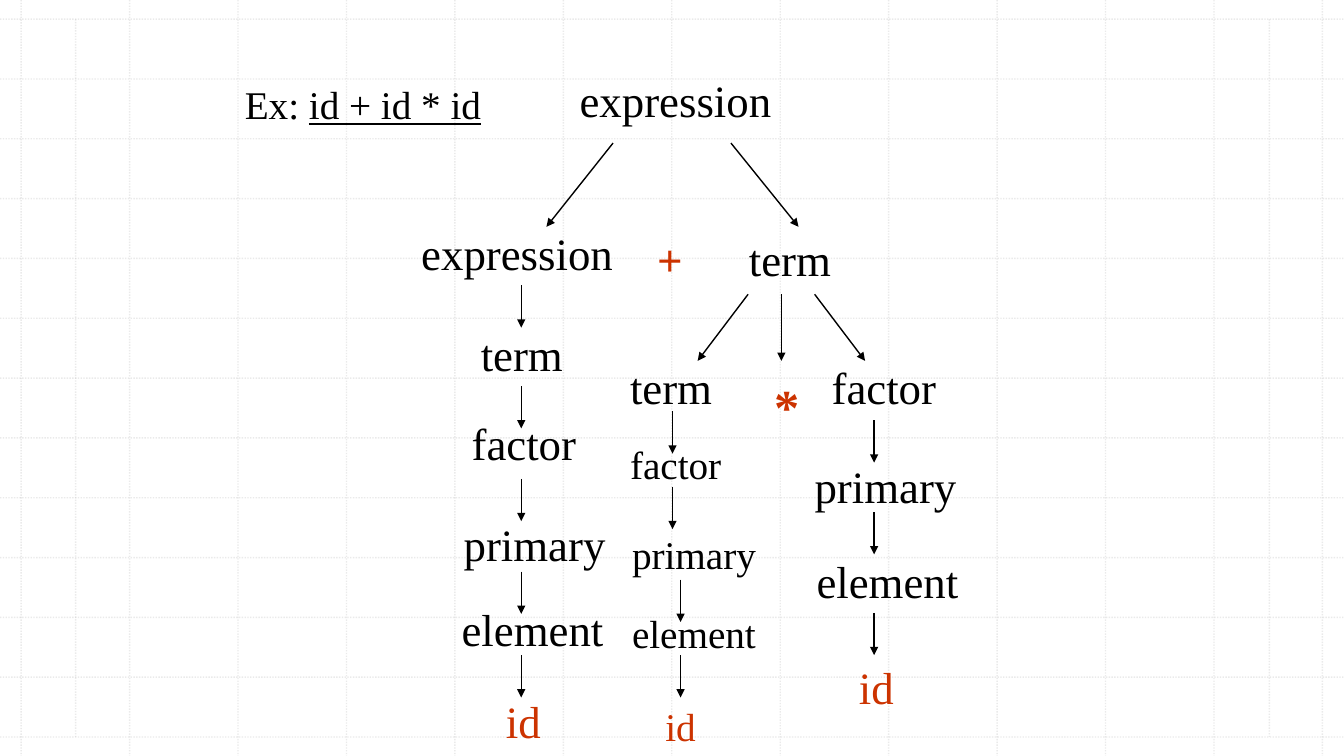
from lxml import etree
from pptx import Presentation
from pptx.dml.color import RGBColor
from pptx.enum.dml import MSO_LINE
from pptx.enum.shapes import MSO_CONNECTOR as CONN
from pptx.enum.text import MSO_AUTO_SIZE as AUTO
from pptx.oxml.ns import qn
from pptx.util import Inches, Pt

FONT = "Times New Roman"
BLACK, RED, GRAY = "000000", "CC3300", "BCBCBC"
ARROW = 0.42


def rgb(hex_color):
    """Turn a hex string into a colour."""
    return RGBColor.from_string(hex_color)


def add_line(slide, x1, y1, x2, y2, color=BLACK):
    """Add a plain one-point line and return it."""
    line = slide.shapes.add_connector(CONN.STRAIGHT, Inches(x1), Inches(y1), Inches(x2), Inches(y2))
    line.line.color.rgb = rgb(color)
    line.line.width = Pt(1)
    etree.SubElement(line._element.spPr, qn("a:effectLst"))
    return line


def add_grid_line(slide, x1, y1, x2, y2):
    """Add a dotted, mostly transparent grid line."""
    line = add_line(slide, x1, y1, x2, y2, GRAY)
    line.line.dash_style = MSO_LINE.ROUND_DOT
    color = line._element.spPr.find(".//" + qn("a:srgbClr"))
    etree.SubElement(color, qn("a:alpha"), val="30000")


def add_arrow(slide, x1, y1, x2, y2):
    """Add a line with a triangle head at its end."""
    line = add_line(slide, x1, y1, x2, y2)
    etree.SubElement(line.line._get_or_add_ln(), qn("a:tailEnd"), type="triangle")


def add_label(slide, text, x, y, w, size=32, color=BLACK, bold=False, wrap=True):
    """Add a one-line label and return its paragraph."""
    height = {28: 0.57, 32: 0.63, 36: 0.7}[size]
    tf = slide.shapes.add_textbox(Inches(x), Inches(y), Inches(w), Inches(height)).text_frame
    tf.word_wrap = wrap
    tf.auto_size = AUTO.SHAPE_TO_FIT_TEXT
    p = tf.paragraphs[0]
    p.add_run().text = text
    p.font.name = FONT
    p.font.size = Pt(size)
    p.font.bold = bold
    p.font.color.rgb = rgb(color)
    return p


def draw_grid(slide, x, y, w, h):
    """Draw the dotted background grid over the given box."""
    for i in range(13):
        column = x + 0.21 + i * 1.0755
        add_grid_line(slide, column, y, column, y + h)
        row = y + 0.19 + i * 0.5935
        add_grid_line(slide, x, row, x + w, row)
    for margin in (x + 0.75, x + w - 0.74):
        add_grid_line(slide, margin, y + 0.19, margin, y + h - 0.19)


def draw_example(slide, x, y, w):
    """Write the example with its expression underlined."""
    p = add_label(slide, "Ex: ", x, y, w, 28)
    r = p.add_run()
    r.text = "id + id * id"
    r.font.underline = True


def draw_root(slide, x, y):
    """Draw the root rule, its operator and its two branches."""
    add_label(slide, "expression", x + 1.57, y, 2.18)
    add_arrow(slide, x + 2, y + 0.75, x + 1.34, y + 1.58)
    add_arrow(slide, x + 3.17, y + 0.75, x + 3.84, y + 1.58)
    add_label(slide, "expression", x, y + 1.52, 2.34)
    add_label(slide, "+", x + 2.34, y + 1.58, 0.67, color=RED, bold=True)


def draw_product(slide, x, y):
    """Draw the right-hand term, its operator and its three arrows."""
    add_label(slide, "term", x, y, 1.17)
    for start, end in ((0.09, -0.41), (0.42, 0.42), (0.75, 1.25)):
        add_arrow(slide, x + start, y + 0.67, x + end, y + 1.33)
    add_label(slide, "*", x + 0.25, y + 1.42, 0.5, 36, RED, True)


def draw_chain(slide, x, y, size, nodes, arrows):
    """Draw a column of labels and the short arrows between them."""
    for text, dx, dy, w, wrap in nodes:
        color = RED if text == "id" else BLACK
        label_size = 32 if text == "term" else size
        add_label(slide, text, x + dx, y + dy, w, label_size, color, wrap=wrap)
    for dx, dy in arrows:
        add_arrow(slide, x + dx, y + dy, x + dx, y + dy + ARROW)


def draw_parse_tree(slide, x, y):
    """Draw the whole parse tree from its top left corner."""
    draw_root(slide, x, y)
    draw_product(slide, x + 3.25, y + 1.58)
    draw_chain(slide, x + 0.4, y + 2.16, 32, [
        ("term", 0.19, 0.36, 1.08, True), ("factor", 0.1, 1.25, 1.3, True),
        ("primary", 0.02, 2.25, 1.67, True), ("element", 0, 3.09, 1.61, True),
        ("id", 0.44, 4, 0.67, True),
    ], [(0.69, dy) for dy in (0, 1, 1.92, 2.84, 3.67)])
    draw_chain(slide, x + 2.07, y + 2.85, 28, [
        ("term", 0, 0, 1.02, False), ("factor", 0, 0.8, 1.11, False),
        ("primary", 0.02, 1.69, 1.58, True), ("element", 0.02, 2.48, 1.58, True),
        ("id", 0.35, 3.4, 0.75, True),
    ], [(0.52, 0.56), (0.52, 1.31), (0.6, 2.23), (0.6, 2.98)])
    draw_chain(slide, x + 3.9, y + 2.85, 32, [
        ("factor", 0.17, 0, 1.24, False), ("primary", 0, 0.98, 1.61, True),
        ("element", 0.02, 1.92, 1.68, True), ("id", 0.44, 2.98, 0.75, True),
    ], [(0.69, dy) for dy in (0.65, 1.56, 2.56)])


def main():
    """Build the slide and save it."""
    prs = Presentation()
    prs.slide_width, prs.slide_height = Inches(13.33), Inches(7.5)
    slide = prs.slides.add_slide(prs.slide_layouts[6])
    slide.background.fill.solid()
    slide.background.fill.fore_color.rgb = rgb("FFFFFF")
    draw_grid(slide, 0, 0, 13.33, 7.5)
    draw_parse_tree(slide, 4.08, 0.67)
    draw_example(slide, 2.33, 0.75, 2.67)
    prs.save("out.pptx")


if __name__ == "__main__":
    main()
